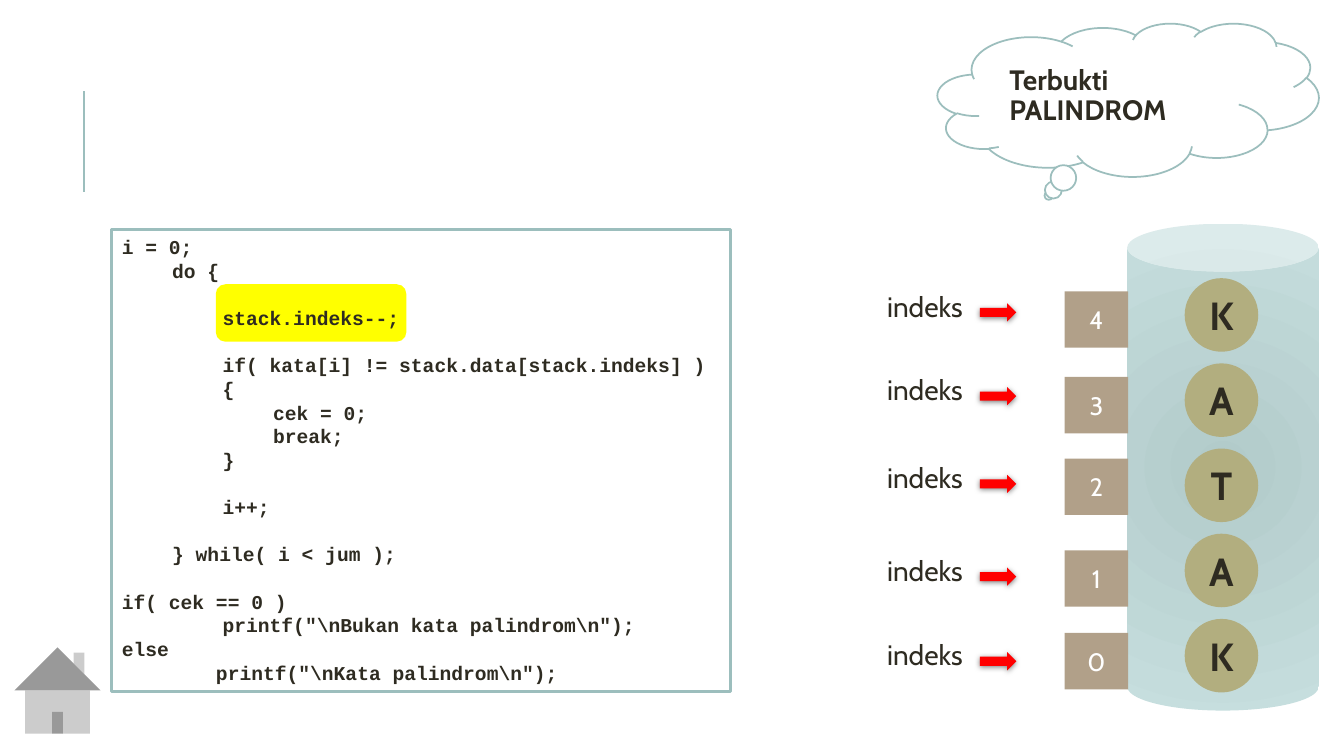
from pptx import Presentation
from pptx import util as u
from pptx.dml.color import RGBColor
from pptx.enum import shapes, text
from pptx.oxml import parse_xml
from pptx.oxml.ns import nsdecls, qn

INK, TEAL = "2E2B21", "9CBEBD"
KIND = shapes.MSO_SHAPE
ANCHOR = text.MSO_ANCHOR


def draw(kind, left, top, wide, high, fill=None, line=None, weight=1):
    """Add a flat preset shape; fill and line are hex colours or None."""
    item = slide.shapes.add_shape(kind, *map(u.Inches, (left, top, wide, high)))
    item.shadow.inherit = False
    if fill:
        item.fill.solid()
        item.fill.fore_color.rgb = RGBColor.from_string(fill)
    else:
        item.fill.background()
    if line:
        item.line.color.rgb = RGBColor.from_string(line)
        item.line.width = u.Pt(weight)
    else:
        item.line.fill.background()
    return item


def write(item, words, size, color=INK, bold=False, font="Cabin",
          align=text.PP_ALIGN.CENTER, anchor=ANCHOR.MIDDLE):
    """Set the text of a shape, one paragraph a line, and format its runs."""
    frame = item.text_frame
    frame.text = words
    frame.vertical_anchor = anchor
    for para in frame.paragraphs:
        para.alignment = align
        for run in para.runs:
            run.font.name = font
            run.font.size = u.Pt(size)
            run.font.bold = bold
            run.font.color.rgb = RGBColor.from_string(color)
    return frame


deck = Presentation()
deck.slide_width, deck.slide_height = u.Inches(13.33), u.Inches(7.5)
slide = deck.slides.add_slide(deck.slide_layouts[6])
LEFT = text.PP_ALIGN.LEFT

# Title rule
rule = slide.shapes.add_connector(
    shapes.MSO_CONNECTOR.STRAIGHT, *map(u.Inches, (0.83, 1.9, 0.83, 0.9)))
rule.line.color.rgb = RGBColor.from_string(TEAL)
rule.line.width = u.Pt(1.5)
rule._element.spPr.append(parse_xml(f"<a:effectLst {nsdecls('a')}/>"))

# Highlight behind the current code line
draw(KIND.ROUNDED_RECTANGLE, 2.14, 2.82, 1.89, 0.57, "FFFF00")

# Verdict cloud
cloud = draw(KIND.CLOUD_CALLOUT, 9.3, 0.23, 3.78, 1.52, "FFFFFF", TEAL, 1.25)
frame = write(cloud, "Terbukti PALINDROM", 20, bold=True, align=LEFT)
frame.word_wrap = True
frame.margin_left = frame.margin_right = u.Inches(0.05)
frame.margin_top = frame.margin_bottom = u.Inches(0.05)
para = frame.paragraphs[0]
para.line_spacing = 0.9
para.space_after = u.Pt(4)
para._p.get_or_add_pPr().set("marL", str(u.Inches(0.14)))

# Stack
stack = draw(KIND.CAN, 11.18, 2.22, 1.9, 4.83)
stack.fill.gradient()
for stop, color in zip(stack.fill.gradient_stops, ("B2CBCA", "C6DEDE")):
    stop.color.rgb = RGBColor.from_string(color)
grad = stack._element.spPr.find(qn("a:gradFill"))
grad.remove(grad.find(qn("a:lin")))
grad.append(parse_xml(
    f'<a:path {nsdecls("a")} path="circle"><a:fillToRect l="100000" '
    't="100000" r="100000" b="100000"/></a:path>'))

for row, letter in enumerate("KATAK"):
    ball = draw(KIND.OVAL, 11.75, 2.76 + 0.845 * row, 0.73, 0.73, "B2AE7F")
    write(ball, letter, 28, bold=True)

# Index labels, arrows and cells: number, label top, cell top
rows = [(4, 2.82, 2.89), (3, 3.65, 3.74), (2, 4.52, 4.55),
        (1, 5.44, 5.46), (0, 6.28, 6.28)]
for num, top, cell in rows:
    label = slide.shapes.add_textbox(
        *map(u.Inches, (8.7, top, 0.99, 0.44)))
    write(label, "indeks", 20, align=LEFT, anchor=ANCHOR.TOP)
    arrow = draw(KIND.RIGHT_ARROW, 9.72, top + 0.19, 0.36, 0.18, "FF0000")
    arrow._element.spPr.find(qn("a:effectLst")).append(parse_xml(
        f'<a:outerShdw {nsdecls("a")} blurRad="{u.Pt(4)}" dist="{u.Pt(1)}" '
        'dir="5400000" rotWithShape="0"><a:srgbClr val="000000">'
        '<a:alpha val="50000"/></a:srgbClr></a:outerShdw>'))
    box = draw(KIND.RECTANGLE, 10.56, cell, 0.63, 0.56, "B1A089")
    write(box, str(num), 18, "FFFFFF")

draw(KIND.ACTION_BUTTON_HOME, 0, 6.28, 1.14, 1.14, "FFFFFF")

# Code: each line with the number of empty lines above it
code = [
    ("i = 0;", 0),
    ("\tdo {", 0),
    ("\t\tstack.indeks--;", 1),
    ("\t\tif( kata[i] != stack.data[stack.indeks] )", 1),
    ("\t\t{", 0),
    ("\t\t\tcek = 0;", 0),
    ("\t\t\tbreak;", 0),
    ("\t\t}", 0),
    ("\t\ti++;", 1),
    ("\t} while( i < jum );", 1),
    ("if( cek == 0 )", 1),
    ('\t\tprintf("\\nBukan kata palindrom\\n");', 0),
    ("else", 0),
    ('        printf("\\nKata palindrom\\n");', 0),
]
PITCH = 16.9
panel = draw(KIND.RECTANGLE, 1.11, 2.28, 6.14, 4.58, None, TEAL, 2.25)
frame = write(panel, "\n".join(line for line, gap in code), 14, bold=True,
              font="Courier New", align=LEFT, anchor=ANCHOR.TOP)
frame.word_wrap = True
tabs = "".join(f'<a:tab pos="{u.Inches(0.5 * n)}" algn="l"/>' for n in (1, 2, 3))
for para, (line, gap) in zip(frame.paragraphs, code):
    para._p.get_or_add_pPr().append(
        parse_xml(f"<a:tabLst {nsdecls('a')}>{tabs}</a:tabLst>"))
    para.line_spacing = u.Pt(PITCH)
    para.space_before = u.Pt(PITCH * gap)

deck.save("out.pptx")
